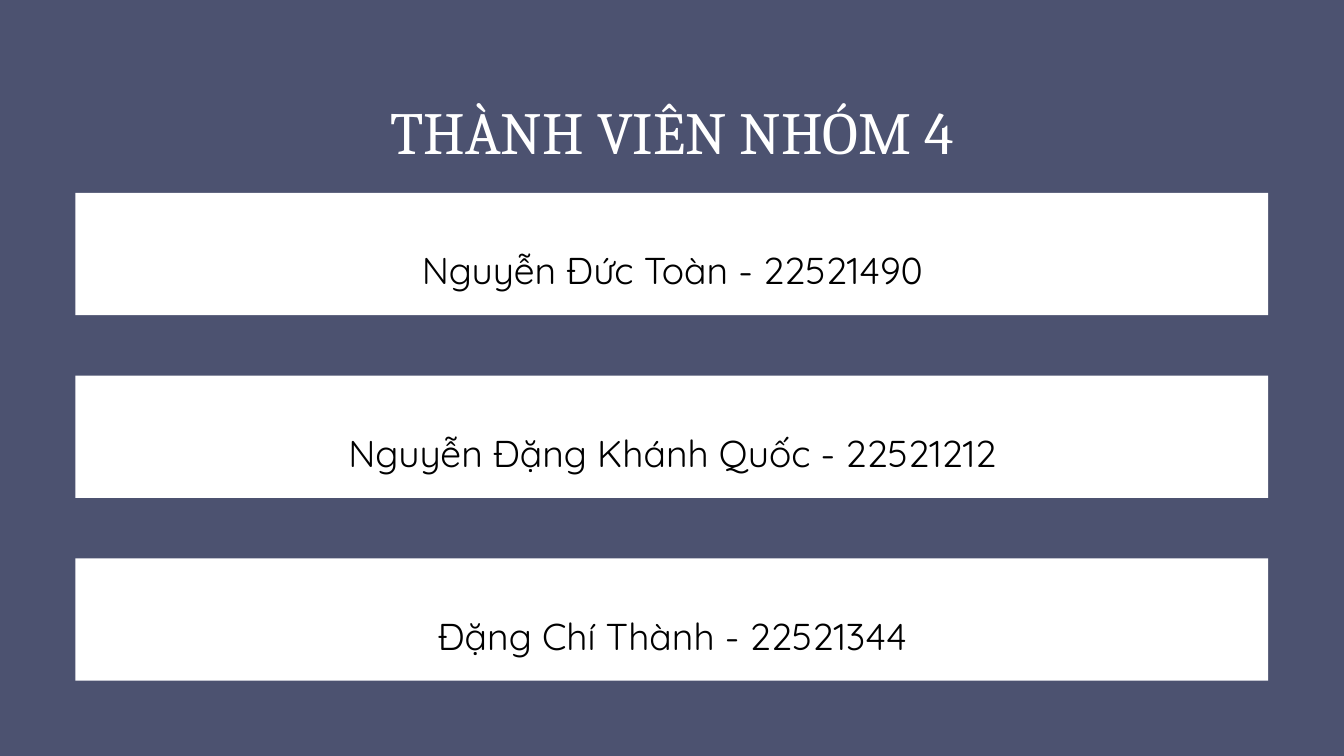
from dataclasses import dataclass

from pptx import Presentation
from pptx import util as u
from pptx.dml.color import RGBColor
from pptx.enum import shapes, text

PX = u.Inches(1) // 100
TITLE_ONLY = 5


@dataclass(frozen=True)
class Theme:
    background: str = "4C5270"
    card: str = "FFFFFF"
    title_color: str = "FFFFFF"
    body_color: str = "000000"
    title_font: str = "Cambria"
    body_font: str = "Quicksand"
    title_size: int = 64
    body_size: int = 40


def rgb(value):
    return RGBColor.from_string(value)


def px(*lengths):
    return [u.Emu(n * PX) for n in lengths]


class Deck:
    """Holds the theme and the slide being filled."""

    def __init__(self, prs, theme):
        self.theme = theme
        self.s = prs.slides.add_slide(prs.slide_layouts[TITLE_ONLY])
        fill = self.s.background.fill
        fill.solid()
        fill.fore_color.rgb = rgb(theme.background)

    def set_text(self, sp, words, font, size, color, spacing):
        tf = sp.text_frame
        tf.text = words
        tf.word_wrap = True
        tf.auto_size = text.MSO_AUTO_SIZE.SHAPE_TO_FIT_TEXT
        tf.vertical_anchor = text.MSO_ANCHOR.TOP
        tf.margin_left = tf.margin_top = tf.margin_right = tf.margin_bottom = 0
        p = tf.paragraphs[0]
        p.alignment = text.PP_ALIGN.CENTER
        p.line_spacing = spacing
        p.font.name = font
        p.font.size = u.Pt(size)
        p.font.color.rgb = rgb(color)

    def title(self, words, x, y, w, h):
        t = self.theme
        sp = self.s.shapes.title
        sp.left, sp.top, sp.width, sp.height = px(x, y, w, h)
        self.set_text(sp, words, t.title_font, t.title_size, t.title_color, 1.4)

    def card(self, x, y, w, h):
        sp = self.s.shapes.add_shape(shapes.MSO_SHAPE.RECTANGLE, *px(x, y, w, h))
        sp.shadow.inherit = False
        sp.fill.solid()
        sp.fill.fore_color.rgb = rgb(self.theme.card)
        sp.line.fill.background()

    def label(self, words, x, y, w, h):
        t = self.theme
        sp = self.s.shapes.add_textbox(*px(x, y, w, h))
        self.set_text(sp, words, t.body_font, t.body_size, t.body_color, 1.5)


def main():
    prs = Presentation()
    prs.slide_width, prs.slide_height = px(2000, 1125)
    deck = Deck(prs, Theme())

    deck.title("THÀNH VIÊN NHÓM 4", 154, 98, 1693, 108)
    members = [
        "Nguyễn Đức Toàn - 22521490",
        "Nguyễn Đặng Khánh Quốc - 22521212",
        "Đặng Chí Thành - 22521344",
    ]
    first_top, pitch = 287, 272
    for i, member in enumerate(members):
        top = first_top + i * pitch
        deck.card(112, top, 1775, 182)
        deck.label(member, 154, top + 48, 1693, 78)

    prs.save("out.pptx")


if __name__ == "__main__":
    main()
